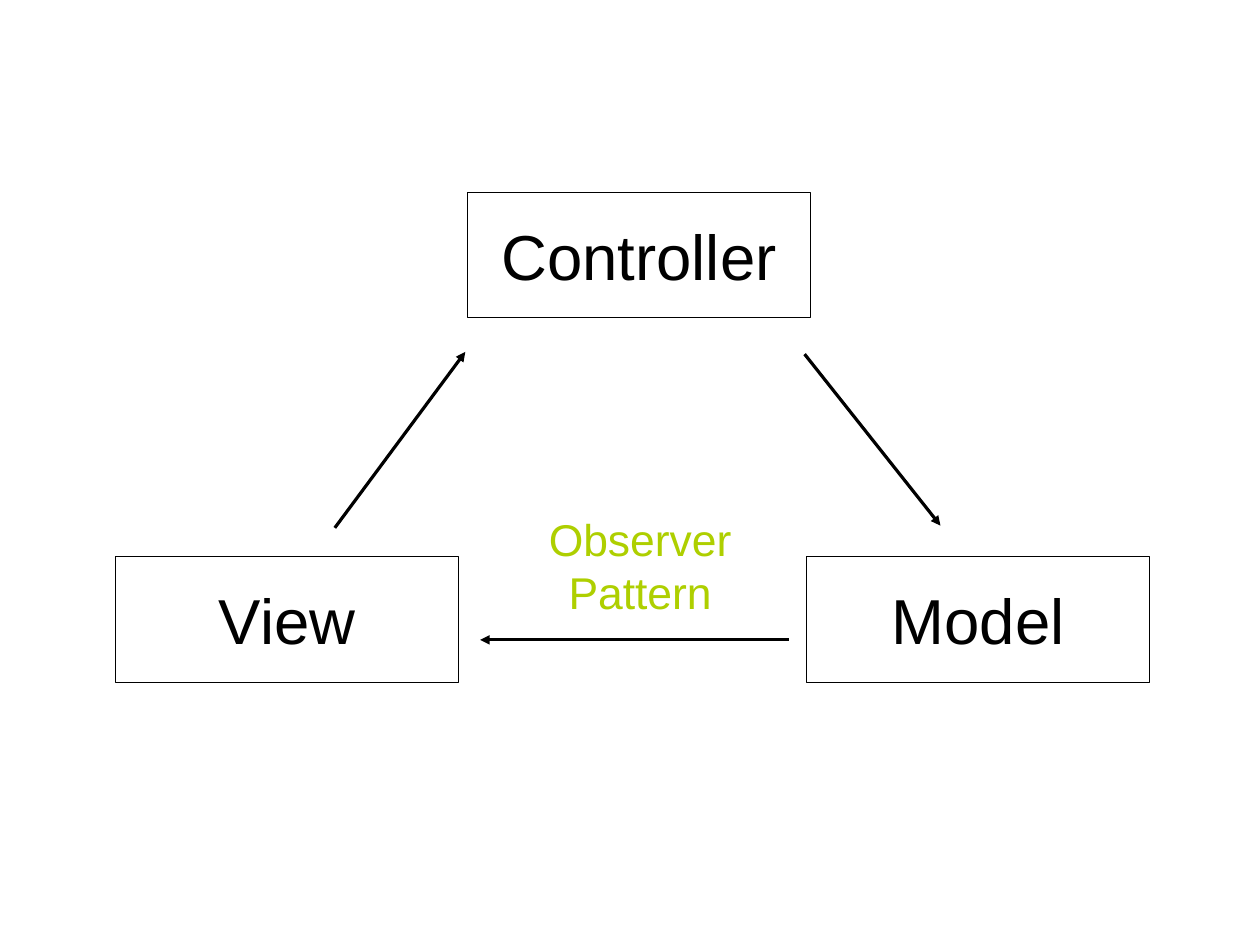
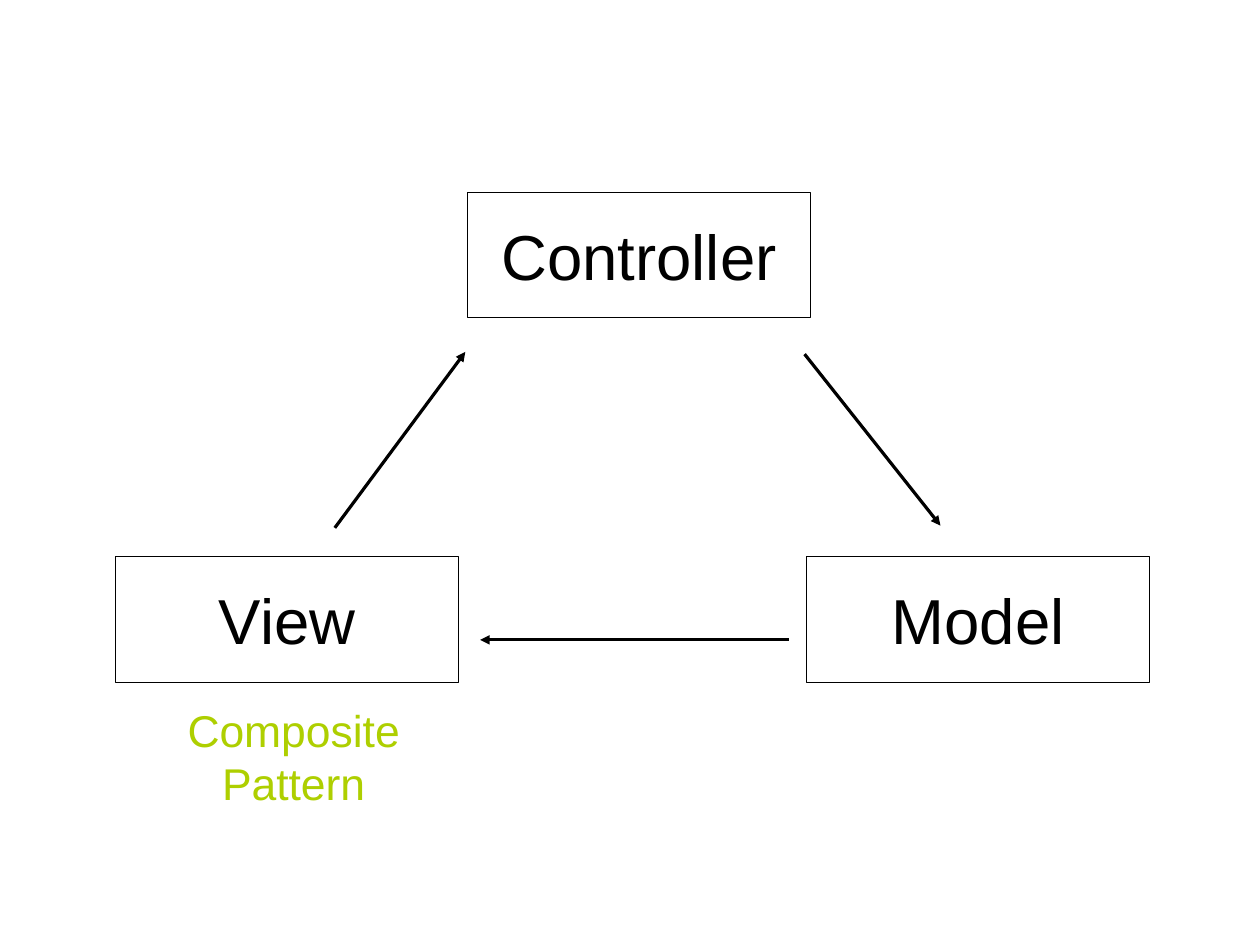
from dataclasses import dataclass

from pptx import Presentation
from pptx.dml.color import RGBColor
from pptx.enum.shapes import MSO_CONNECTOR, MSO_SHAPE
from pptx.enum.text import MSO_ANCHOR, MSO_AUTO_SIZE, PP_ALIGN
from pptx.oxml.ns import qn
from pptx.slide import Slide
from pptx.text.text import TextFrame
from pptx.util import Cm, Pt
from lxml import etree

RECTANGLE = MSO_SHAPE.RECTANGLE
STRAIGHT = MSO_CONNECTOR.STRAIGHT
MIDDLE = MSO_ANCHOR.MIDDLE
CENTER = PP_ALIGN.CENTER
GROW = MSO_AUTO_SIZE.SHAPE_TO_FIT_TEXT

BLACK = RGBColor(0x00, 0x00, 0x00)
LIME = RGBColor(0xAE, 0xCF, 0x00)
FONT = "Arial"
HAIRLINE = Pt(0)
BLANK_LAYOUT = 6

BOX_WIDTH, BOX_HEIGHT = Cm(7.62), Cm(2.79)
CAPTION_HEIGHT = Cm(2.46)
LOWER_ROW = Cm(12.37)
ARROW_ROW = Cm(14.22)


@dataclass(frozen=True)
class Component:
    name: str
    left: Cm
    top: Cm


@dataclass(frozen=True)
class Arrow:
    start_x: Cm
    start_y: Cm
    end_x: Cm
    end_y: Cm


@dataclass(frozen=True)
class Caption:
    text: str
    left: Cm
    top: Cm
    width: Cm


COMPONENTS = (
    Component("Controller", Cm(10.39), Cm(4.27)),
    Component("Model", Cm(17.93), LOWER_ROW),
    Component("View", Cm(2.57), LOWER_ROW),
)
ARROWS = (
    Arrow(Cm(17.53), ARROW_ROW, Cm(10.67), ARROW_ROW),
    Arrow(Cm(7.44), Cm(11.73), Cm(10.34), Cm(7.82)),
    Arrow(Cm(17.88), Cm(7.87), Cm(20.9), Cm(11.68)),
)
CAPTIONS = (
    Caption("Observer\nPattern", Cm(11.94), Cm(11.25), Cm(4.57)),
    Caption("Composite\nPattern", Cm(3.91), Cm(15.49), Cm(5.23)),
)


def write_centred(frame: TextFrame, text: str, size: Pt, color: RGBColor) -> None:
    frame.word_wrap = False
    frame.text = text
    for para in frame.paragraphs:
        para.alignment = CENTER
        para.font.name = FONT
        para.font.size = size
        para.font.color.rgb = color


def draw_component(page: Slide, component: Component) -> None:
    box = page.shapes.add_shape(
        RECTANGLE, component.left, component.top, BOX_WIDTH, BOX_HEIGHT
    )
    box.shadow.inherit = False
    box.fill.background()
    box.line.color.rgb = BLACK
    box.line.width = HAIRLINE
    box.text_frame.vertical_anchor = MIDDLE
    write_centred(box.text_frame, component.name, Pt(40), BLACK)


def draw_arrow(page: Slide, arrow: Arrow) -> None:
    connector = page.shapes.add_connector(
        STRAIGHT, arrow.start_x, arrow.start_y, arrow.end_x, arrow.end_y
    )
    connector.line.color.rgb = BLACK
    connector.line.width = HAIRLINE
    properties = connector._element.spPr
    outline = properties.find(qn("a:ln"))
    etree.SubElement(outline, qn("a:tailEnd"), type="triangle")
    etree.SubElement(properties, qn("a:effectLst"))


def draw_caption(page: Slide, caption: Caption) -> None:
    box = page.shapes.add_textbox(
        caption.left, caption.top, caption.width, CAPTION_HEIGHT
    )
    box.text_frame.auto_size = GROW
    write_centred(box.text_frame, caption.text, Pt(28), LIME)


def main() -> None:
    deck = Presentation()
    deck.slide_width, deck.slide_height = Cm(28), Cm(21)
    for caption in CAPTIONS:
        page = deck.slides.add_slide(deck.slide_layouts[BLANK_LAYOUT])
        for component in COMPONENTS:
            draw_component(page, component)
        for arrow in ARROWS:
            draw_arrow(page, arrow)
        draw_caption(page, caption)
    deck.save("out.pptx")


if __name__ == "__main__":
    main()
